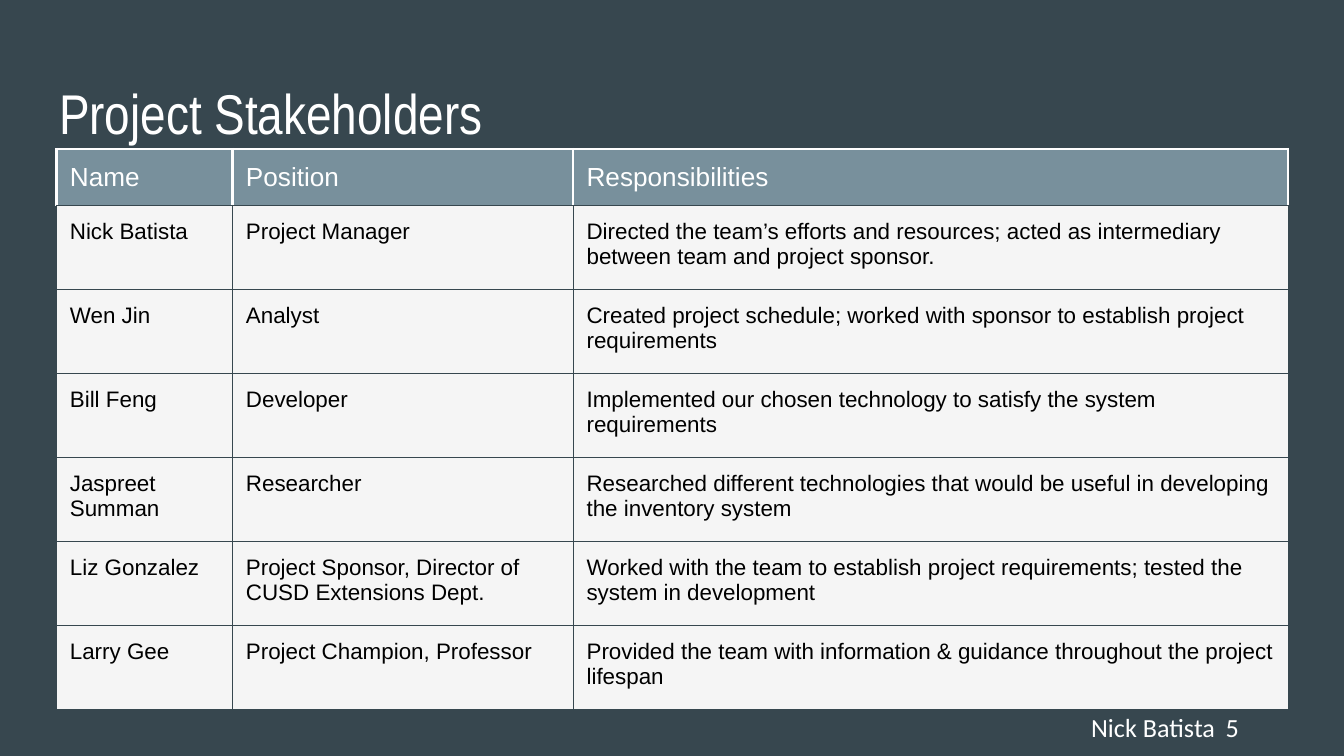
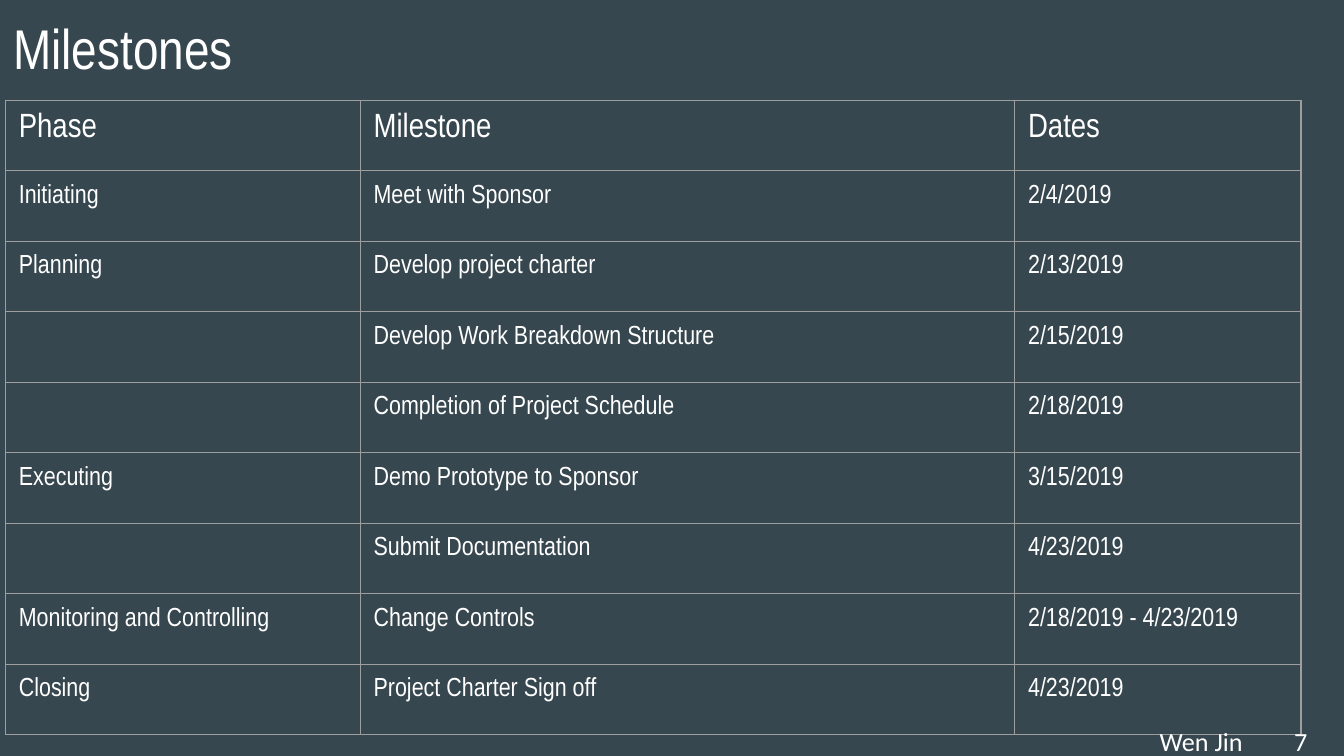
"""Build the stakeholder and milestone table slides."""

from dataclasses import dataclass

from lxml.etree import SubElement
from pptx import Presentation
from pptx.dml.color import RGBColor
from pptx.enum.text import MSO_ANCHOR, MSO_AUTO_SIZE, PP_ALIGN
from pptx.oxml.ns import qn
from pptx.presentation import Presentation as PresentationType
from pptx.slide import Slide
from pptx.table import _Cell
from pptx.text.text import TextFrame
from pptx.util import Emu, Pt

EMU_PER_PX = 4572
SLIDE_WIDTH, SLIDE_HEIGHT = 2000, 1125
INSET = 20
TITLE_ONLY_LAYOUT = 5
PLAIN_TABLE_STYLE = "{2D5ABB26-0587-4C30-8999-92F81FD0307C}"

SLATE = RGBColor(0x37, 0x47, 0x4F)
BLUE_GREY = RGBColor(0x78, 0x90, 0x9C)
PALE = RGBColor(0xF5, 0xF5, 0xF5)
GREY = RGBColor(0x9E, 0x9E, 0x9E)
WHITE = RGBColor(0xFF, 0xFF, 0xFF)
BLACK = RGBColor(0x00, 0x00, 0x00)


@dataclass(frozen=True)
class Box:
    left: int
    top: int
    width: int
    height: int

    def emu(self) -> tuple[Emu, Emu, Emu, Emu]:
        return px(self.left), px(self.top), px(self.width), px(self.height)


@dataclass(frozen=True)
class TextStyle:
    font: str
    size: int
    color: RGBColor


@dataclass(frozen=True)
class Border:
    color: RGBColor
    width: float


@dataclass(frozen=True)
class CellStyle:
    text: TextStyle
    fill: RGBColor | None
    sides: Border
    bottom: Border


@dataclass(frozen=True)
class TableSpec:
    left: int
    top: int
    columns: tuple[int, ...]
    header_height: int
    row_height: int
    header: CellStyle
    body: CellStyle
    rows: tuple[tuple[str, ...], ...]


@dataclass(frozen=True)
class SlideSpec:
    title: str
    title_box: Box
    table: TableSpec
    footer: str
    footer_box: Box


TITLE_TEXT = TextStyle("Arial Narrow", 30, WHITE)
FOOTER_TEXT = TextStyle("Calibri", 14, WHITE)
SLATE_LINE = Border(SLATE, 0.75)
GREY_LINE = Border(GREY, 0.75)
WHITE_LINE = Border(WHITE, 1.5)

STAKEHOLDERS = SlideSpec(
    title="Project Stakeholders",
    title_box=Box(68, 97, 1864, 126),
    table=TableSpec(
        left=84,
        top=222,
        columns=(262, 507, 1064),
        header_height=84,
        row_height=125,
        header=CellStyle(TextStyle("Arial", 14, WHITE), BLUE_GREY, WHITE_LINE, SLATE_LINE),
        body=CellStyle(TextStyle("Arial", 12, BLACK), PALE, SLATE_LINE, SLATE_LINE),
        rows=(
            ("Name", "Position", "Responsibilities"),
            ("Nick Batista", "Project Manager",
             "Directed the team’s efforts and resources; acted as intermediary "
             "between team and project sponsor."),
            ("Wen Jin", "Analyst",
             "Created project schedule; worked with sponsor to establish project requirements"),
            ("Bill Feng", "Developer",
             "Implemented our chosen technology to satisfy the system requirements"),
            ("Jaspreet Summan", "Researcher",
             "Researched different technologies that would be useful in developing "
             "the inventory system"),
            ("Liz Gonzalez", "Project Sponsor, Director of CUSD Extensions Dept.",
             "Worked with the team to establish project requirements; tested the "
             "system in development"),
            ("Larry Gee", "Project Champion, Professor",
             "Provided the team with information & guidance throughout the project lifespan"),
        ),
    ),
    footer="Nick Batista \t5",
    footer_box=Box(1604, 1038, 464, 70),
)

MILESTONES = SlideSpec(
    title="Milestones",
    title_box=Box(0, 0, 1884, 126),
    table=TableSpec(
        left=8,
        top=149,
        columns=(528, 974, 426),
        header_height=105,
        row_height=105,
        header=CellStyle(TextStyle("Arial Narrow", 18, WHITE), None, GREY_LINE, GREY_LINE),
        body=CellStyle(TextStyle("Arial Narrow", 14, WHITE), None, GREY_LINE, GREY_LINE),
        rows=(
            ("Phase", "Milestone", "Dates"),
            ("Initiating", "Meet with Sponsor", "2/4/2019"),
            ("Planning", "Develop project charter", "2/13/2019"),
            ("", "Develop Work Breakdown Structure", "2/15/2019"),
            ("", "Completion of Project Schedule", "2/18/2019"),
            ("Executing", "Demo Prototype to Sponsor", "3/15/2019"),
            ("", "Submit Documentation", "4/23/2019"),
            ("Monitoring and Controlling", "Change Controls", "2/18/2019 - 4/23/2019"),
            ("Closing", "Project Charter Sign off", "4/23/2019"),
        ),
    ),
    footer="Wen Jin\t7",
    footer_box=Box(1706, 1060, 310, 52),
)


def px(length: int) -> Emu:
    return Emu(length * EMU_PER_PX)


def write_text(text_frame: TextFrame, text: str, style: TextStyle) -> None:
    text_frame.text = text
    for paragraph in text_frame.paragraphs:
        paragraph.alignment = PP_ALIGN.LEFT
        for run in paragraph.runs:
            run.font.name = style.font
            run.font.size = Pt(style.size)
            run.font.color.rgb = style.color


def set_insets(target: TextFrame | _Cell) -> None:
    target.margin_left = target.margin_right = px(INSET)
    target.margin_top = target.margin_bottom = px(INSET)
    target.vertical_anchor = MSO_ANCHOR.TOP


def format_frame(text_frame: TextFrame, text: str, style: TextStyle) -> None:
    text_frame.word_wrap = True
    text_frame.auto_size = MSO_AUTO_SIZE.NONE
    set_insets(text_frame)
    write_text(text_frame, text, style)


def add_border(cell: _Cell, tag: str, border: Border) -> None:
    properties = cell._tc.get_or_add_tcPr()
    line = SubElement(properties, qn(tag), w=str(Pt(border.width)))
    fill = SubElement(line, qn("a:solidFill"))
    SubElement(fill, qn("a:srgbClr"), val=str(border.color))


def format_cell(cell: _Cell, text: str, style: CellStyle, top: Border) -> None:
    add_border(cell, "a:lnL", style.sides)
    add_border(cell, "a:lnR", style.sides)
    add_border(cell, "a:lnT", top)
    add_border(cell, "a:lnB", style.bottom)
    if style.fill is None:
        cell.fill.background()
    else:
        cell.fill.solid()
        cell.fill.fore_color.rgb = style.fill
    set_insets(cell)
    write_text(cell.text_frame, text, style.text)


def add_styled_table(slide: Slide, spec: TableSpec) -> None:
    height = spec.header_height + spec.row_height * (len(spec.rows) - 1)
    box = Box(spec.left, spec.top, sum(spec.columns), height)
    frame = slide.shapes.add_table(len(spec.rows), len(spec.columns), *box.emu())
    table = frame.table
    table.first_row = False
    table.horz_banding = False
    next(frame.element.iter(qn("a:tableStyleId"))).text = PLAIN_TABLE_STYLE
    for column, width in zip(table.columns, spec.columns):
        column.width = px(width)
    for index, (row, texts) in enumerate(zip(table.rows, spec.rows)):
        style = spec.body if index else spec.header
        row.height = px(spec.row_height if index else spec.header_height)
        for cell, text in zip(row.cells, texts):
            format_cell(cell, text, style, style.sides)


def add_slide(presentation: PresentationType, spec: SlideSpec) -> None:
    slide = presentation.slides.add_slide(presentation.slide_layouts[TITLE_ONLY_LAYOUT])
    title = slide.shapes.title
    title.left, title.top, title.width, title.height = spec.title_box.emu()
    format_frame(title.text_frame, spec.title, TITLE_TEXT)
    add_styled_table(slide, spec.table)
    footer = slide.shapes.add_textbox(*spec.footer_box.emu())
    format_frame(footer.text_frame, spec.footer, FOOTER_TEXT)


def main() -> None:
    presentation = Presentation()
    presentation.slide_width = px(SLIDE_WIDTH)
    presentation.slide_height = px(SLIDE_HEIGHT)
    background = presentation.slide_master.background.fill
    background.solid()
    background.fore_color.rgb = SLATE
    for spec in (STAKEHOLDERS, MILESTONES):
        add_slide(presentation, spec)
    presentation.save("out.pptx")


if __name__ == "__main__":
    main()
